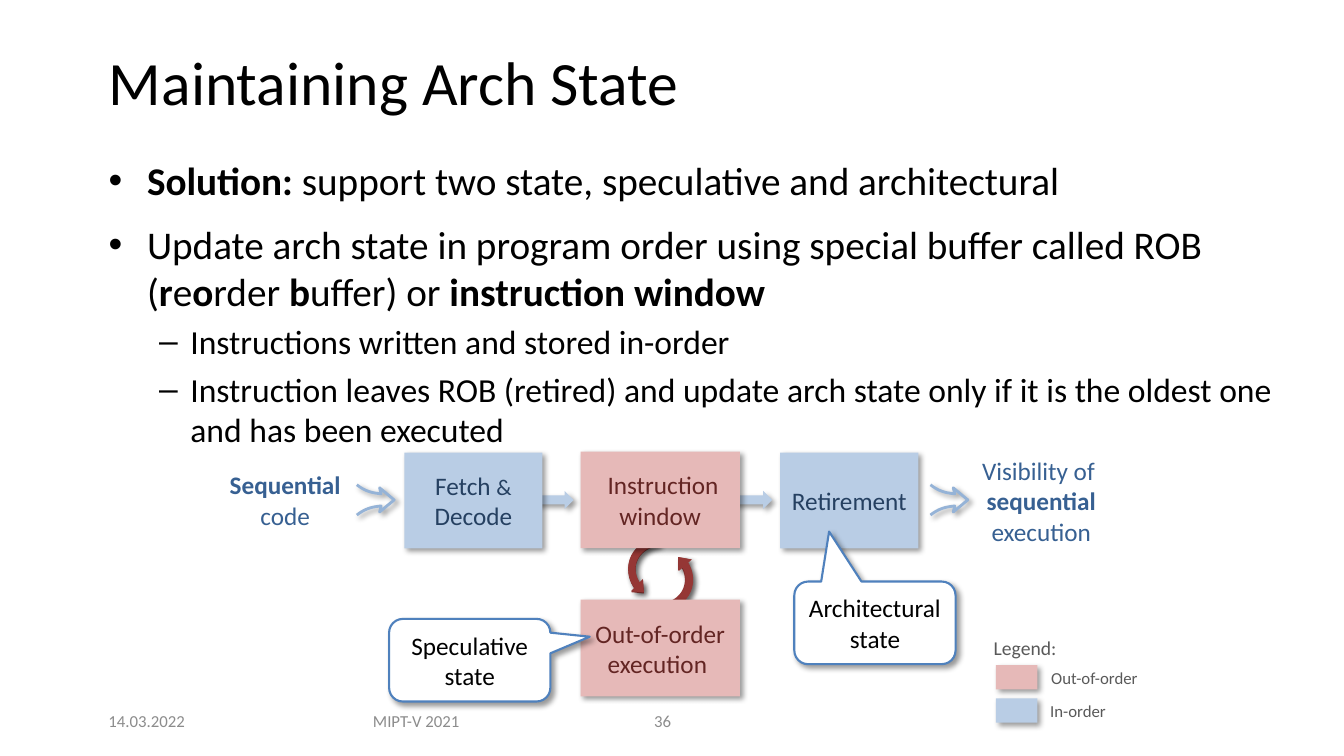
from pptx import Presentation
from pptx import util as u
from pptx.dml.color import RGBColor
from pptx.enum import shapes, text
from pptx.oxml import parse_xml
from pptx.oxml.ns import nsdecls, qn

BLACK = RGBColor(0x00, 0x00, 0x00)
WHITE = RGBColor(0xFF, 0xFF, 0xFF)
FOOTER = RGBColor(0x8C, 0x8C, 0x8C)
LEGEND = RGBColor(0x59, 0x59, 0x59)
BLUE = RGBColor(0xB9, 0xCD, 0xE5)
BLUE_TEXT = RGBColor(0x25, 0x40, 0x61)
BLUE_LABEL = RGBColor(0x37, 0x60, 0x92)
BLUE_ARROW = RGBColor(0x95, 0xB3, 0xD7)
BLUE_EDGE = RGBColor(0x4F, 0x81, 0xBD)
PINK = RGBColor(0xE6, 0xB9, 0xB8)
PINK_TEXT = RGBColor(0x63, 0x25, 0x23)
DARK_RED = RGBColor(0x95, 0x37, 0x35)
MSO = shapes.MSO_SHAPE
ALIGN = text.PP_ALIGN
MIDDLE = text.MSO_ANCHOR.MIDDLE
TOP = text.MSO_ANCHOR.TOP

prs = Presentation()
prs.slide_width, prs.slide_height = u.Inches(13.33), u.Inches(7.5)
COL, ROW = prs.slide_width / 100, prs.slide_height / 100
s = prs.slides.add_slide(prs.slide_layouts[5])


def shade(sp, fill=None, line=None, width=1.5):
    """Set fill and outline, and cast the soft shadow used by the diagram."""
    if fill is None:
        sp.fill.background()
    else:
        sp.fill.solid()
        sp.fill.fore_color.rgb = fill
    if line is None:
        sp.line.fill.background()
    else:
        sp.line.color.rgb = line
        sp.line.width = u.Pt(width)
    sp.shadow.inherit = False
    sp._element.spPr.find(qn("a:effectLst")).append(parse_xml(
        f'<a:outerShdw {nsdecls("a")} blurRad="50800" dist="38100" dir="2700000" '
        'algn="tl" rotWithShape="0"><a:srgbClr val="000000">'
        '<a:alpha val="40000"/></a:srgbClr></a:outerShdw>'))


def put(words, cell, kind=None, sp=None, fill=None, line=None, size=18,
        color=BLACK, align=ALIGN.CENTER, anchor=MIDDLE, wrap=True):
    """Put text in a shape or text box; cell is x, y, w, h in grid units, **bold**."""
    x, y, w, h = cell
    frame = [int(x * COL), int(y * ROW), int(w * COL), int(h * ROW)]
    if sp is not None:
        sp.left, sp.top, sp.width, sp.height = frame
    elif kind is None:
        sp = s.shapes.add_textbox(*frame)
    else:
        sp = s.shapes.add_shape(kind, *frame)
        shade(sp, fill, line)
    if not words:
        return sp
    tf = sp.text_frame
    tf.word_wrap = wrap
    tf.auto_size = text.MSO_AUTO_SIZE.NONE
    tf.vertical_anchor = anchor
    for i, row in enumerate(words.split("\n")):
        p = tf.paragraphs[0] if i == 0 else tf.add_paragraph()
        p.alignment = align
        for j, part in enumerate(row.split("**")):
            if part:
                r = p.add_run()
                r.text = part
                r.font.name, r.font.size = "Calibri", u.Pt(size)
                r.font.bold = j % 2 == 1
                r.font.color.rgb = color
    return sp


# Title, bullets and footer
title = put("Maintaining Arch State", (7.35, 5.2, 67.95, 12.13), sp=s.shapes.title,
            size=44, align=ALIGN.LEFT)
title.text_frame.paragraphs[0].line_spacing = 0.9

for words, x, w, align in (("36", 47.93, 5.93, ALIGN.LEFT),
                           ("14.03.2022", 6.9, 8.03, ALIGN.CENTER),
                           ("MIPT-V 2021", 25.05, 11.85, ALIGN.CENTER)):
    put(words, (x, 92.67, w, 5.33), size=12, color=FOOTER, align=align)

body = put("**Solution:** support two state, speculative and architectural\n"
           "Update arch state in program order using special buffer called ROB "
           "(**r**e**o**rder **b**uffer) or **instruction window**\n"
           "Instructions written and stored in-order\n"
           "Instruction leaves ROB (retired) and update arch state only if it is "
           "the oldest one and has been executed",
           (7.35, 20, 90.08, 72.8), size=28, align=ALIGN.LEFT, anchor=TOP)
for p, level, before in zip(body.text_frame.paragraphs, (0, 0, 1, 1), (0, 12, 5, 5)):
    mark, left, hang, size = (("•", 0.38, 0.38, 28), ("–", 0.81, 0.31, 24))[level]
    pPr = p._p.get_or_add_pPr()
    pPr.set("marL", str(u.Inches(left)))
    pPr.set("indent", str(-u.Inches(hang)))
    pPr.append(parse_xml(f'<a:buFont {nsdecls("a")} typeface="Arial"/>'))
    pPr.append(parse_xml(f'<a:buChar {nsdecls("a")} char="{mark}"/>'))
    p.level = level
    p.space_before = u.Pt(before)
    for r in p.runs:
        r.font.size = u.Pt(size)

# Loop between the instruction window and execution
for x, y, angle, flip in ((46.65, 70.13, 288.6, "flipH"), (45.98, 70.8, 292.9, "flipV"),
                          (46.65, 70, 288.6, "flipH"), (46.05, 70.8, 292.9, "flipV")):
    sp = put("", (x, y, 5.63, 11.07), MSO.CIRCULAR_ARROW, fill=DARK_RED)
    for i, value in enumerate((0.098, 11.423, 189.244, 126.702, 0.112)):
        sp.adjustments[i] = value
    sp.rotation = angle
    sp._element.spPr.xfrm.set(flip, "1")

# Pipeline stages
for x in (39.45, 54.23):
    put("", (x, 64.93, 3.23, 2.4), MSO.RIGHT_ARROW, fill=BLUE)
for words, x, y in ((" Instruction window", 43.2, 59.73),
                    ("Out-of-order execution ", 43.2, 79.33)):
    put(words, (x, y, 11.85, 12.8), MSO.RECTANGLE, fill=PINK, color=PINK_TEXT)
for words, x in (("Fetch **&** Decode", 30.08), ("Retirement", 58.05)):
    stage = put(words, (x, 59.87, 10.28, 12.67), MSO.RECTANGLE, fill=BLUE, color=BLUE_TEXT)
    for r in stage.text_frame.paragraphs[0].runs:
        if r.text == "&":
            r.font.bold, r.font.size = False, u.Pt(16)

# Sequential input and output
put("**Sequential** code", (15.9, 61.47, 10.65, 9.47), color=BLUE_LABEL, anchor=TOP)
put("Visibility of \n**sequential **execution", (71.78, 59.6, 11.4, 13.47),
    color=BLUE_LABEL, anchor=TOP)

# Open arrow in shares of its box: a curved upper edge, a tip and the mirrored edge
curve_x, curve_y = (0, 0.24, 0.43, 0.65), (0, 0.23, 0.27, 0.3)
upper = []
for step in range(13):
    t = step / 12
    weights = ((1 - t) ** 3, 3 * t * (1 - t) ** 2, 3 * t ** 2 * (1 - t), t ** 3)
    upper.append(tuple(sum(a * b for a, b in zip(weights, c)) for c in (curve_x, curve_y)))
upper.append((0.61, 0.1))
outline = upper + [(1, 0.5)] + [(x, 1 - y) for x, y in reversed(upper)]
for left in (26.55, 69.23):
    points = [((left + 2.78 * x) * COL, (64.13 + 4 * y) * ROW) for x, y in outline]
    builder = s.shapes.build_freeform(*points[0])
    builder.add_line_segments(points[1:], close=False)
    shade(builder.convert_to_shape(), line=BLUE_ARROW, width=2)

# Legend
put("Legend:", (73.2, 83.47, 6.23, 4.53), size=14, color=LEGEND, align=ALIGN.LEFT,
    anchor=TOP, wrap=False)
for words, y, x, w, fill in (("Out-of-order", 88, 77.48, 8.03, PINK),
                             ("In-order", 92.4, 77.4, 5.7, BLUE)):
    put("", (74.1, y, 3.08, 3.2), MSO.RECTANGLE, fill=fill)
    put(words, (x, y - 0.3, w, 4), size=12, color=LEGEND, align=ALIGN.LEFT,
        anchor=TOP, wrap=False)

# Callouts
for words, x, y, tip in (("Speculative state", 28.95, 81.87, (0.744, -0.284)),
                         ("Architectural state", 59.1, 76.93, (-0.284, -1.105))):
    sp = put(words, (x, y, 12, 10.93), MSO.ROUNDED_RECTANGULAR_CALLOUT,
             fill=WHITE, line=BLUE_EDGE)
    sp.adjustments[0], sp.adjustments[1] = tip

prs.save("out.pptx")
